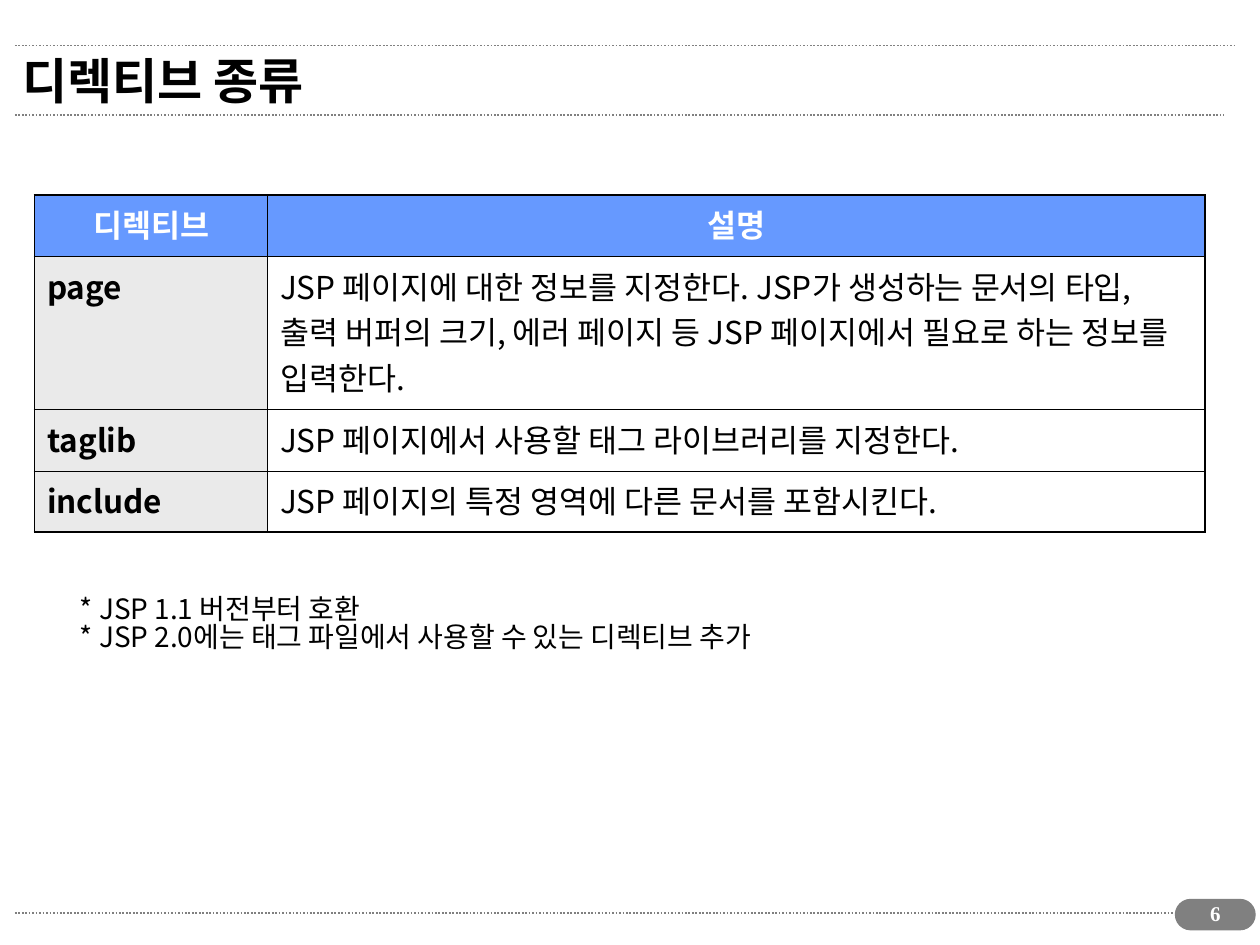
from pptx import Presentation
from pptx.dml.color import RGBColor
from pptx.enum.dml import MSO_LINE
from pptx.enum.shapes import MSO_CONNECTOR as Connector, MSO_SHAPE as Shape
from pptx.enum.text import MSO_ANCHOR as Anchor, PP_ALIGN as Align
from pptx.oxml.ns import qn
from pptx.util import Pt
from lxml.etree import SubElement

SANS = "Noto Sans CJK KR"
SERIF = "Times New Roman"
GREY = "808080"
BLACK = "000000"
WHITE = "FFFFFF"
OUTER, INNER = 1.08, 0.45

DIRECTIVES = [
    ("디렉티브", "설명"),
    ("page", "JSP 페이지에 대한 정보를 지정한다. JSP가 생성하는 문서의 타입, "
             "출력 버퍼의 크기, 에러 페이지 등 JSP 페이지에서 필요로 하는 정보를 입력한다."),
    ("taglib", "JSP 페이지에서 사용할 태그 라이브러리를 지정한다."),
    ("include", "JSP 페이지의 특정 영역에 다른 문서를 포함시킨다."),
]
VERSION_NOTES = ["* JSP 1.1 버전부터 호환",
                 "* JSP 2.0에는 태그 파일에서 사용할 수 있는 디렉티브 추가"]


def colour(hex_value):
    return RGBColor.from_string(hex_value)


def apply(target, values):
    for key, value in values.items():
        setattr(target, key, value)


def write(paragraph, text, size, hue=BLACK, bold=False, face=SANS, **layout):
    apply(paragraph, layout)
    run = paragraph.add_run()
    run.text = text
    apply(run.font, {"size": Pt(size), "bold": bold, "name": face})
    run.font.color.rgb = colour(hue)
    SubElement(run.font._element, qn("a:ea"), typeface=face)


def text_frame(slide, box, anchor=Anchor.TOP):
    frame = slide.shapes.add_textbox(*map(Pt, box)).text_frame
    apply(frame, {"word_wrap": True, "vertical_anchor": anchor})
    return frame


def add_rule(slide, left, right, y):
    rule = slide.shapes.add_connector(
        Connector.STRAIGHT, Pt(left), Pt(y), Pt(right), Pt(y))
    apply(rule.line, {"width": Pt(1), "dash_style": MSO_LINE.ROUND_DOT})
    rule.line.color.rgb = colour(GREY)
    SubElement(rule._element.spPr, qn("a:effectLst"))


def add_header(slide, box, title):
    left, top, width, height = box
    add_rule(slide, left, left + width, top)
    add_rule(slide, left, left + width - 6, top + height)
    frame = text_frame(slide, (left - 3, top - 6, 655, 51), Anchor.MIDDLE)
    write(frame.paragraphs[0], title, 28, bold=True)


def add_footer(slide, box, number):
    left, top, width, height = box
    badge_width = 45.5
    badge_left = left + width - badge_width
    add_rule(slide, left, badge_left + 29, top + height / 2 - 1)
    badge = slide.shapes.add_shape(
        Shape.ROUNDED_RECTANGLE, *map(Pt, (badge_left, top, badge_width, height)))
    badge.adjustments[0] = 0.5
    badge.shadow.inherit = False
    badge.fill.solid()
    badge.fill.fore_color.rgb = badge.line.color.rgb = colour(GREY)
    badge.line.width = Pt(0.75)
    frame = text_frame(slide, (badge_left + 3, top - 3, 39.5, 24.5))
    write(frame.paragraphs[0], number, 12, WHITE, True, SERIF, alignment=Align.CENTER)


def set_borders(cell, widths):
    properties = cell._tc.get_or_add_tcPr()
    for position, (side, width) in enumerate(widths.items()):
        border = properties.makeelement(qn(f"a:{side}"), {"w": str(int(Pt(width)))})
        fill = SubElement(border, qn("a:solidFill"))
        SubElement(fill, qn("a:srgbClr"), val=BLACK)
        properties.insert(position, border)


def add_directive_table(slide, box, rows):
    left, top, width, height = box
    short = 35.1
    column_widths = [133.2, width - 133.2]
    row_heights = [short, height - 3 * short, short, short]
    table = slide.shapes.add_table(len(rows), 2, *map(Pt, box)).table
    apply(table, {"first_row": False, "horz_banding": False})
    for column, size in zip(table.columns, column_widths):
        column.width = Pt(size)
    for row, size in zip(table.rows, row_heights):
        row.height = Pt(size)
    for r, row in enumerate(rows):
        for c, text in enumerate(row):
            cell = table.cell(r, c)
            header = r == 0
            cell.fill.solid()
            cell.fill.fore_color.rgb = colour(
                "6699FF" if header else WHITE if c else "EAEAEA")
            set_borders(cell, {
                "lnL": INNER if c else OUTER,
                "lnR": OUTER if c else INNER,
                "lnT": OUTER if header else INNER,
                "lnB": OUTER if r == len(rows) - 1 else INNER,
            })
            write(cell.text_frame.paragraphs[0], text, 18,
                  WHITE if header else BLACK, header or c == 0,
                  alignment=Align.CENTER if header else Align.LEFT)


def add_version_notes(slide, box, notes):
    frame = text_frame(slide, box)
    for index, note in enumerate(notes):
        paragraph = frame.add_paragraph() if index else frame.paragraphs[0]
        write(paragraph, note, 16, line_spacing=0.83)


def main():
    deck = Presentation()
    apply(deck, {"slide_width": Pt(720), "slide_height": Pt(540)})
    slide = deck.slides.add_slide(deck.slide_layouts[6])
    add_header(slide, (8.5, 26, 697, 39.7), "디렉티브 종류")
    add_directive_table(slide, (19.7, 111.5, 669, 192.7), DIRECTIVES)
    add_version_notes(slide, (38.6, 337.5, 405.5, 46), VERSION_NOTES)
    add_footer(slide, (8.5, 514, 708.7, 17.3), "6")
    deck.save("out.pptx")


if __name__ == "__main__":
    main()
